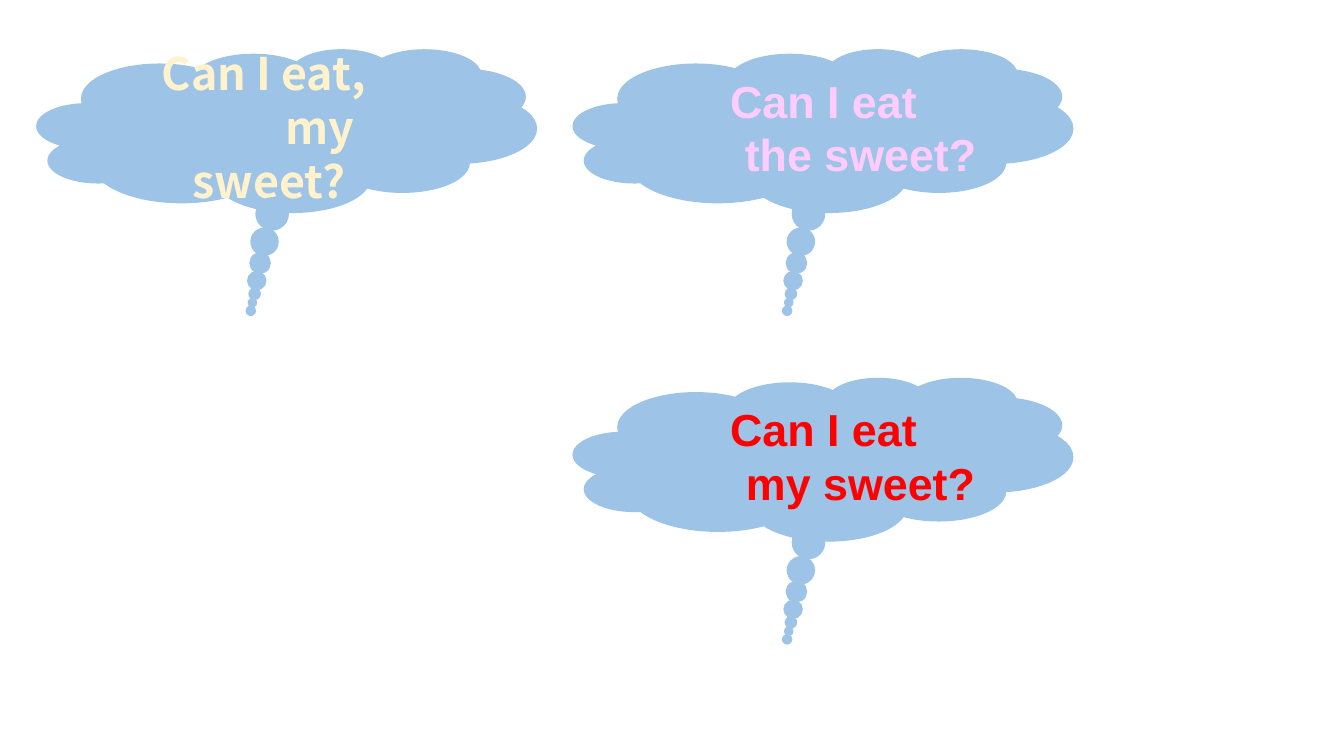
from pptx import Presentation
from pptx.dml.color import RGBColor
from pptx.enum.shapes import MSO_SHAPE
from pptx.enum.text import MSO_ANCHOR, PP_ALIGN
from pptx.util import Pt

BLUE = "9DC3E6"
CLOUD = (356.4, 116)
DOTS = [(156.3, 106, 23), (152, 145.4, 14.4), (151.3, 170.6, 8), (150.8, 178, 5.8)]


def paint(color, hue):
    """Give a colour format a hex value."""
    color.rgb = RGBColor.from_string(hue)


def add_blue(slide, kind, box):
    """Add a preset shape in the bubble's blue."""
    shape = slide.shapes.add_shape(kind, *map(Pt, box))
    shape.shadow.inherit = False
    shape.fill.solid()
    paint(shape.fill.fore_color, BLUE)
    paint(shape.line.color, BLUE)
    shape.line.width = Pt(1)
    return shape


def add_cloud(slide, left, top):
    """Add a thought cloud with its trail of dots."""
    cloud = add_blue(slide, MSO_SHAPE.CLOUD_CALLOUT, (left, top, *CLOUD))
    cloud.adjustments[0] = -0.072
    cloud.adjustments[1] = 1.11
    for x, y, size in DOTS:
        add_blue(slide, MSO_SHAPE.OVAL, (left + x, top + y, size, size))
    return cloud


def write(shape, lines, font, hue, indent, inset=0):
    """Write centred bold lines, the last one indented."""
    frame = shape.text_frame
    frame.word_wrap = True
    frame.vertical_anchor = MSO_ANCHOR.MIDDLE
    frame.margin_left = frame.margin_right = Pt(inset)
    frame.margin_top = frame.margin_bottom = 0
    frame.text = "\n".join(lines)
    for para in frame.paragraphs:
        para.alignment = PP_ALIGN.CENTER
        para.line_spacing = Pt(38.4)
        para.font.name = font
        para.font.size = Pt(32)
        para.font.bold = True
        paint(para.font.color, hue)
    para._p.get_or_add_pPr().set("indent", str(Pt(indent)))


def add_thought(slide, left, top, lines, hue):
    """Add a cloud with a text box over it."""
    add_cloud(slide, left, top)
    box = slide.shapes.add_textbox(Pt(left + 59.8), Pt(top + 16.6), Pt(237.6), Pt(77.8))
    write(box, lines, "Arial", hue, 53)


def main():
    """Build the slide and save it."""
    deck = Presentation()
    deck.slide_width, deck.slide_height = Pt(960), Pt(540)
    slide = deck.slides.add_slide(deck.slide_layouts[6])
    cloud = add_cloud(slide, 26.6, 35.3)
    write(cloud, ["Can I eat, ", "my sweet?"], "Noto Sans CJK JP", "FFF2CC", 73, 10)
    add_thought(slide, 409.7, 35.3, ["Can I eat", "the sweet?"], "FFCCFF")
    add_thought(slide, 409.7, 270, ["Can I eat", "my sweet?"], "FF0000")
    deck.save("out.pptx")


main()
